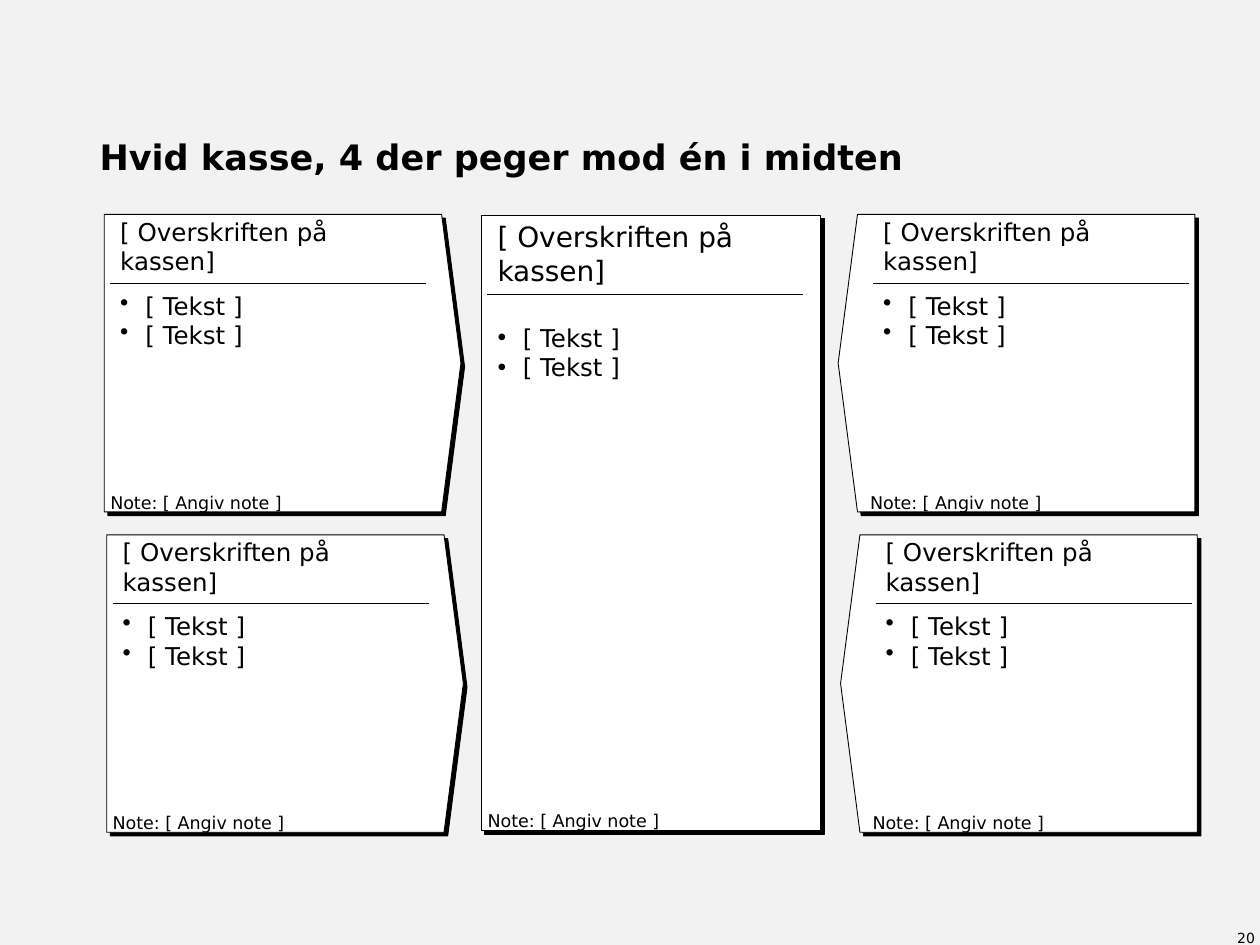
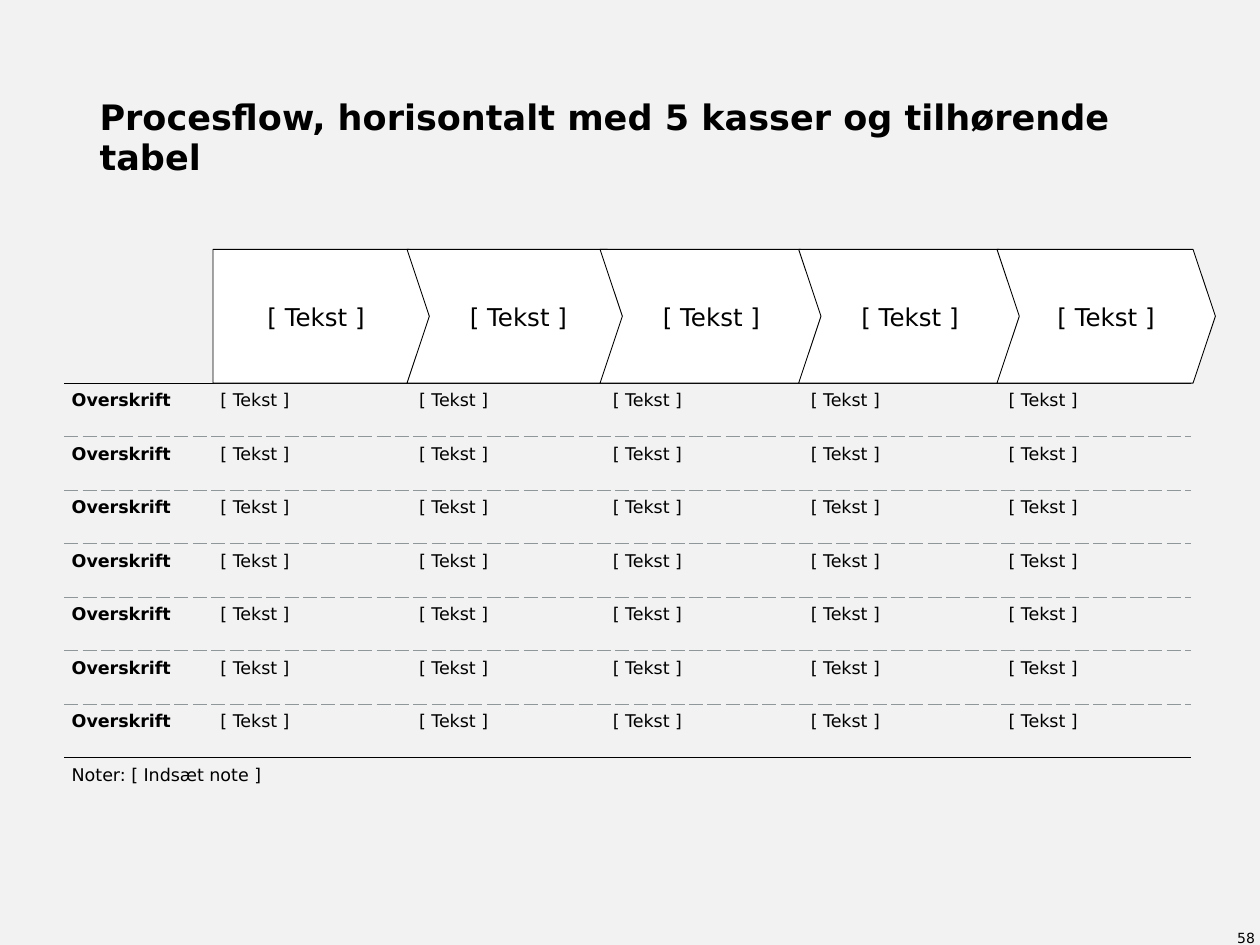
from dataclasses import dataclass

from lxml.etree import SubElement as Sub
from pptx import Presentation
from pptx.dml.color import RGBColor as RGB
from pptx.enum.shapes import MSO_CONNECTOR as LINK, MSO_SHAPE as KIND
from pptx.enum.text import MSO_ANCHOR as ANC, MSO_AUTO_SIZE as FIT, PP_ALIGN as ALIGN
from pptx.oxml.ns import qn
from pptx.util import Pt


@dataclass(frozen=True)
class Theme:
    font: str = "DejaVu Sans"
    back: RGB = RGB(0xF2, 0xF2, 0xF2)
    ink: RGB = RGB(0, 0, 0)
    white: RGB = RGB(255, 255, 255)
    grey: RGB = RGB(0x90, 0x97, 0x9B)
    title: int = 20
    lead: int = 16
    text: int = 14
    small: int = 10
    foot: int = 8
    line: float = 0.5
    rule: float = 0.25


look = Theme()
PAD = (5.8, 4.3)


def write(frame, text, size=look.text, bold=False, align=ALIGN.LEFT, anchor=ANC.TOP,
          pad=(0, 0), gap=1.0, bullet=False, fit=FIT.NONE):
    """Fill a text frame, one paragraph for each line of text."""
    frame.word_wrap = True
    frame.auto_size = fit
    frame.vertical_anchor = anchor
    frame.margin_left = frame.margin_right = Pt(pad[0])
    frame.margin_top = frame.margin_bottom = Pt(pad[1])
    for n, line in enumerate(text.split("\n")):
        para = frame.add_paragraph() if n else frame.paragraphs[0]
        para.alignment, para.line_spacing = align, gap
        para.space_before = para.space_after = Pt(0)
        if bullet:
            props = para._p.get_or_add_pPr()
            props.set("marL", str(Pt(14.4)))
            props.set("indent", str(-Pt(14.4)))
            Sub(props, qn("a:buChar"), char="•")
        run = para.add_run()
        run.text = line
        font = run.font
        font.name, font.size, font.bold = look.font, Pt(size), bold
        font.color.rgb = look.ink


def start(layout, title, number):
    """Add a slide with its title and page number."""
    page = deck.slides.add_slide(deck.slide_layouts[layout])
    head = page.shapes.title
    head.left, head.top, head.width, head.height = Pt(56.9), Pt(42.5), Pt(606), Pt(59.8)
    write(head.text_frame, title, size=look.title, bold=True, anchor=ANC.BOTTOM, gap=0.96)
    box = page.shapes.add_textbox(Pt(549.4), Pt(530), Pt(167.8), Pt(10.8))
    write(box.text_frame, number, size=look.foot, align=ALIGN.RIGHT, gap=1.15)
    return page


deck = Presentation()
deck.slide_width, deck.slide_height = Pt(720), Pt(540)
fill = deck.slide_master.background.fill
fill.solid()
fill.fore_color.rgb = look.back

# Slide 1: four boxes that point at one in the middle
page = start(1, "Hvid kasse, 4 der peger mod én i midten", "20")

# Frame, tip, flip, text left, note left, heading (top, height, size), rule, list, note top
cards = [((275, 123, 194, 351.5), 0, False, 278.5, 278.7,
          (123.1, 45.2, look.lead), 168.3, (180, 283), 463)]
for x, flip, left, note in ((59.6, False, 62.9, 63), (479, True, 498.9, 497.2)):
    for row in range(2):
        dx, dy = row * 1.4, row * 183.1
        cards.append(((x + dx, 122.5 + dy, 203.8, 170), 0.065, flip, left + dx, note + dx,
                      (140.4 + dy, 21.6, look.text), 162 + dy, (162 + dy, 124), 281 + dy))

body = page.placeholders[1]
for area, tip, flip, left, note, (top, high, size), rule, (ly, lh), foot in cards:
    card = page.shapes.add_group_shape().shapes

    # Frame with a hard shadow
    frame = card.add_shape(KIND.PENTAGON, *map(Pt, area))
    frame.adjustments[0] = tip
    frame.fill.solid()
    frame.fill.fore_color.rgb = look.white
    frame.line.color.rgb, frame.line.width = look.ink, Pt(look.line)
    props = frame.element.spPr
    if flip:
        props.find(qn("a:xfrm")).set("flipH", "1")
    frame.shadow.inherit = False
    shade = Sub(props.find(qn("a:effectLst")), qn("a:outerShdw"), dist=str(Pt(3)),
                dir="2700000", algn="ctr", rotWithShape="0")
    Sub(shade, qn("a:srgbClr"), val=str(look.ink))

    # Heading and the line below it
    link = card.add_connector(LINK.STRAIGHT, Pt(left), Pt(rule), Pt(left + 180.6), Pt(rule))
    link.line.color.rgb, link.line.width = look.ink, Pt(look.line)
    Sub(link.element.spPr, qn("a:effectLst"))
    head = card.add_textbox(Pt(left), Pt(top), Pt(180.7), Pt(high))
    write(head.text_frame, "[ Overskriften på kassen]", size=size, anchor=ANC.BOTTOM, pad=PAD)

    # List: the middle box takes the body placeholder, brought to the front
    if tip:
        items = card.add_textbox(Pt(left), Pt(ly), Pt(180.7), Pt(lh))
    else:
        items = body
        body.left, body.top, body.width, body.height = Pt(left), Pt(ly), Pt(180.7), Pt(lh)
        body.element.getparent().append(body.element)
    write(items.text_frame, "[ Tekst ]\n[ Tekst ]", pad=PAD, bullet=True)

    # Note
    memo = card.add_textbox(Pt(note), Pt(foot), Pt(182), Pt(12 if not tip else 6))
    write(memo.text_frame, "Note: [ Angiv note ]", size=look.small, fit=FIT.SHAPE_TO_FIT_TEXT)

# Slide 2: process arrows above a table
page = start(5, "Procesflow, horisontalt med 5 kasser og tilhørende tabel", "58")

# Table: text columns with narrow gap columns between them
GAP = 2.9
wide = [79.2, 2 * GAP]
for width in (107.7, 105, 107.3, 107.3):
    wide += [width, GAP, GAP]
wide.append(108.3)
rows, high = 8, 29.16
grid = page.shapes.add_table(rows, len(wide), Pt(36.7), Pt(218.9),
                             Pt(sum(wide)), Pt(rows * high)).table
grid.first_row = grid.horz_banding = False
grid._tbl.tblPr.find(qn("a:tableStyleId")).text = "{2D5ABB26-0587-4C30-8999-92F81FD0307C}"
for col, width in zip(grid.columns, wide):
    col.width = Pt(width)
for row in grid.rows:
    row.height = Pt(high)
grid.cell(rows - 1, 0).merge(grid.cell(rows - 1, len(wide) - 1))

for r in range(rows):
    for c, width in enumerate(wide):
        cell = grid.cell(r, c)
        side = Pt(4.3 if width > 2 * GAP else 0)
        cell.margin_left = cell.margin_right = side
        cell.margin_top = cell.margin_bottom = Pt(4.3)
        # Solid rules around the rows, dashed ones between them
        props = cell._tc.get_or_add_tcPr()
        for tag, edge in (("a:lnT", r), ("a:lnB", r + 1)):
            if edge == rows:
                continue
            solid = edge in (0, rows - 1)
            line = Sub(props, qn(tag), w=str(Pt(look.rule)))
            paint = Sub(line, qn("a:solidFill"))
            Sub(paint, qn("a:srgbClr"), val=str(look.ink if solid else look.grey))
            Sub(line, qn("a:prstDash"), val="solid" if solid else "dash")
        cell.fill.background()
        if r == rows - 1:
            text = "Noter: [ Indsæt note ]" if c == 0 else ""
        else:
            text = "Overskrift" if c == 0 else "[ Tekst ]" if side else ""
        if text:
            run = cell.text_frame.paragraphs[0].add_run()
            run.text = text
            font = run.font
            font.name, font.size = look.font, Pt(look.small)
            font.bold = text == "Overskrift"
            font.color.rgb = look.ink

# Arrows
steps = ((121.7, 123.8), (232.6, 127.4), (342.9, 127.4), (456.4, 127.4), (569.7, 124.8))
for n, (x, width) in enumerate(steps):
    step = page.shapes.add_shape(KIND.CHEVRON if n else KIND.PENTAGON,
                                 Pt(x), Pt(142.5), Pt(width), Pt(76.4))
    step.adjustments[0] = 0.167 if n else 0.152
    step.shadow.inherit = False
    step.fill.solid()
    step.fill.fore_color.rgb = look.white
    step.line.color.rgb, step.line.width = look.ink, Pt(look.line)
    write(step.text_frame, "[ Tekst ]", align=ALIGN.CENTER, anchor=ANC.MIDDLE)

deck.save("out.pptx")
